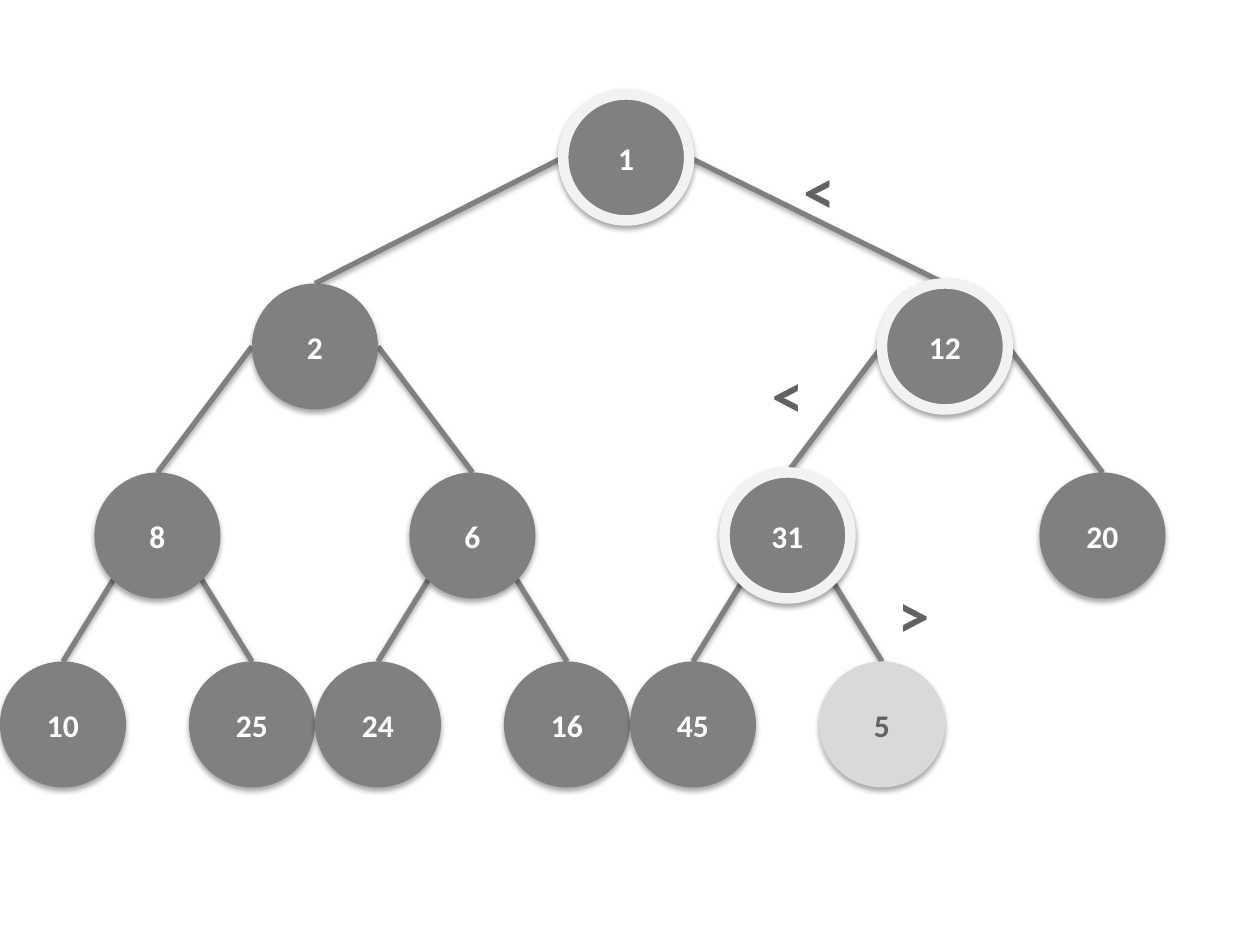
from lxml.etree import SubElement
from pptx import Presentation
from pptx.dml.color import RGBColor
from pptx.enum.shapes import MSO_CONNECTOR, MSO_SHAPE
from pptx.enum.text import MSO_ANCHOR, PP_ALIGN
from pptx.oxml.ns import qn
from pptx.util import Inches, Pt

GRAY = RGBColor(0x80, 0x80, 0x80)
DARK_GRAY = RGBColor(0x62, 0x62, 0x62)
LIGHT_GRAY = RGBColor(0xD9, 0xD9, 0xD9)
PALE_GRAY = RGBColor(0xF2, 0xF2, 0xF2)
WHITE = RGBColor(0xFF, 0xFF, 0xFF)

FONT = "Calibri"
DIAMETER = 1
TOP = 0.75
LEVEL_GAP = 1.5
SIGN_SIZE = 0.5
LEAF_LEVEL = 3

LEVELS = [
    {"1": 4.47},
    {"2": 2, "12": 7},
    {"8": 0.75, "6": 3.25, "31": 5.75, "20": 8.25},
    {"10": 0, "25": 1.5, "24": 2.5, "16": 4, "45": 5, "5": 6.5},
]
CHILDREN = {
    "1": ["2", "12"],
    "2": ["8", "6"],
    "12": ["31", "20"],
    "8": ["10", "25"],
    "6": ["24", "16"],
    "31": ["45", "5"],
}
NEW_KEY = "5"
COMPARISONS = {"31": (">", 7, 4.62), "12": ("<", 6, 2.87), "1": ("<", 6.25, 1.25)}


def node_positions():
    return {
        key: (left, TOP + level * LEVEL_GAP, level)
        for level, nodes in enumerate(LEVELS)
        for key, left in nodes.items()
    }


def add_shadow(element):
    effects = SubElement(element.spPr, qn("a:effectLst"))
    shadow = SubElement(effects, qn("a:outerShdw"), blurRad="40000", dist="23000",
                        dir="5400000", rotWithShape="0")
    color = SubElement(shadow, qn("a:srgbClr"), val="000000")
    SubElement(color, qn("a:alpha"), val="35000")


def set_text(frame, text, size, color):
    frame.word_wrap = True
    frame.vertical_anchor = MSO_ANCHOR.MIDDLE
    paragraph = frame.paragraphs[0]
    paragraph.text = text
    paragraph.alignment = PP_ALIGN.CENTER
    paragraph.font.name = FONT
    paragraph.font.size = Pt(size)
    paragraph.font.bold = True
    paragraph.font.color.rgb = color


def add_edge(slide, parent, child, side):
    parent_left, parent_top, _ = parent
    child_left, child_top, child_level = child
    reach, drop = (0.35, 0.85) if child_level == LEAF_LEVEL else (0.5, 0.5)
    edge = slide.shapes.add_connector(
        MSO_CONNECTOR.STRAIGHT,
        Inches(child_left + DIAMETER / 2), Inches(child_top),
        Inches(parent_left + DIAMETER / 2 + side * reach), Inches(parent_top + drop),
    )
    edge.line.color.rgb = GRAY
    edge.line.width = Pt(3)
    add_shadow(edge._element)


def add_node(slide, key, position, fill=GRAY, text_color=WHITE, ring=None):
    left, top, _ = position
    node = slide.shapes.add_shape(MSO_SHAPE.OVAL, Inches(left), Inches(top),
                                  Inches(DIAMETER), Inches(DIAMETER))
    node.fill.solid()
    node.fill.fore_color.rgb = fill
    if ring is None:
        node.line.fill.background()
    else:
        node.line.color.rgb = ring
        node.line.width = Pt(6)
    add_shadow(node._element)
    set_text(node.text_frame, key, 18, text_color)


def add_sign(slide, sign, left, top):
    sign_box = slide.shapes.add_textbox(Inches(left), Inches(top),
                                        Inches(SIGN_SIZE), Inches(SIGN_SIZE))
    set_text(sign_box.text_frame, sign, 36, DARK_GRAY)


def main():
    deck = Presentation()
    deck.slide_width, deck.slide_height = Inches(10), Inches(7.5)
    slide = deck.slides.add_slide(deck.slide_layouts[6])
    positions = node_positions()

    for parent, children in CHILDREN.items():
        for side, child in zip((-1, 1), children):
            add_edge(slide, positions[parent], positions[child], side)

    for key, position in positions.items():
        if key != NEW_KEY and key not in COMPARISONS:
            add_node(slide, key, position)
    add_node(slide, NEW_KEY, positions[NEW_KEY], LIGHT_GRAY, DARK_GRAY)

    for key, (sign, left, top) in COMPARISONS.items():
        add_node(slide, key, positions[key], ring=PALE_GRAY)
        add_sign(slide, sign, left, top)

    deck.save("out.pptx")


if __name__ == "__main__":
    main()
